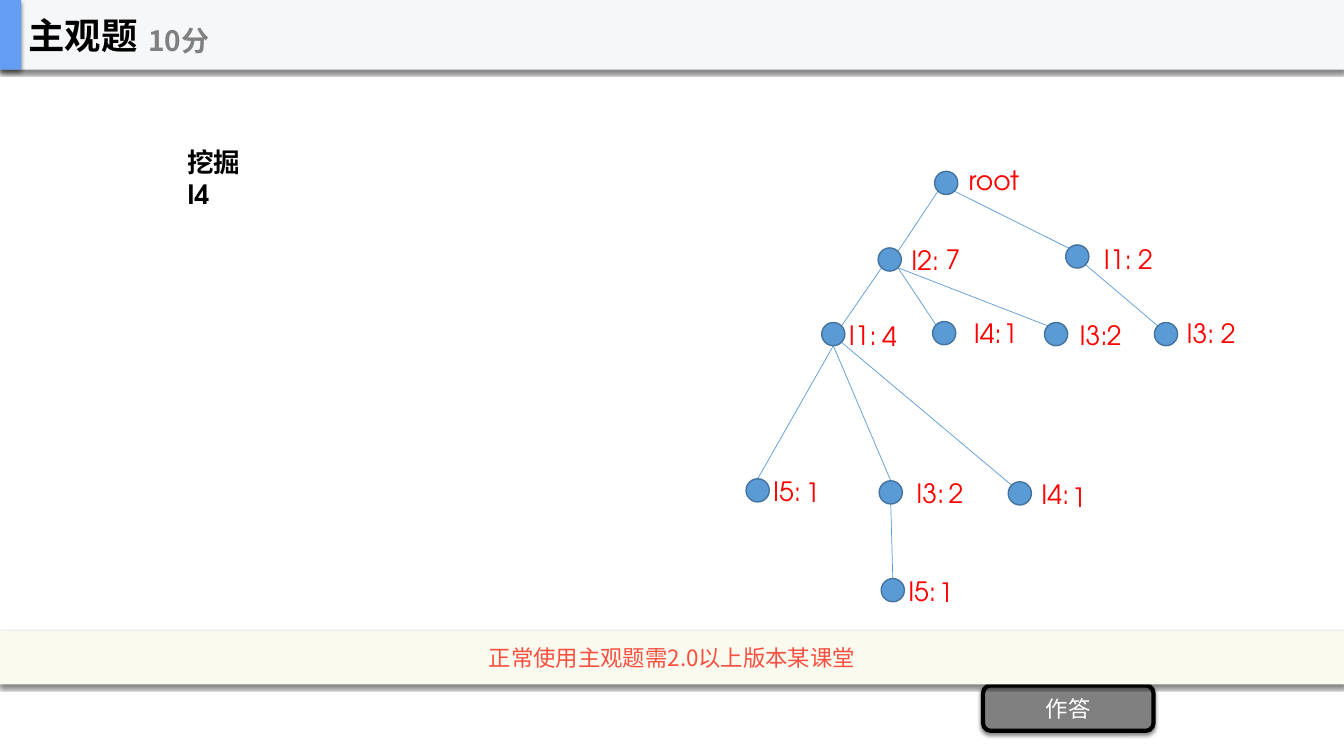
from dataclasses import dataclass
from enum import Enum

from lxml import etree
from pptx import Presentation, util as u
from pptx.dml.color import RGBColor
from pptx.enum import shapes, text
from pptx.oxml.ns import qn

CJK, LATIN = "Noto Sans CJK SC", "TeX Gyre Adventor"
LEFT, CENTER = text.PP_ALIGN.LEFT, text.PP_ALIGN.CENTER
TOP, MIDDLE = text.MSO_ANCHOR.TOP, text.MSO_ANCHOR.MIDDLE
DOT = 0.23
DIAGONAL = 0.71
LABEL_HEIGHT = 0.42


class Site(Enum):
    """Point on a node's rim, as a direction from its centre."""
    TOP = (0, -1)
    BOTTOM = (0, 1)
    TOP_LEFT = (-DIAGONAL, -DIAGONAL)
    TOP_RIGHT = (DIAGONAL, -DIAGONAL)
    BOTTOM_LEFT = (-DIAGONAL, DIAGONAL)
    BOTTOM_RIGHT = (DIAGONAL, DIAGONAL)


@dataclass(frozen=True)
class Label:
    content: str
    left: float
    top: float
    width: float = 0.49


@dataclass(frozen=True)
class Node:
    left: float
    top: float
    labels: tuple[Label, ...]

    def rim(self, site: Site) -> list:
        dx, dy = site.value
        radius = DOT / 2
        return [u.Inches(self.left + radius * (1 + dx)),
                u.Inches(self.top + radius * (1 + dy))]


@dataclass(frozen=True)
class Edge:
    parent: str
    child: str
    start: Site
    end: Site


def counted(item: str, left: float, top: float, count: str,
            count_left: float, count_top: float) -> tuple[Label, ...]:
    return Label(item, left, top), Label(count, count_left, count_top, 0.62)


NODES = {
    "root": Node(9.27, 1.7, (Label("root", 9.51, 1.58, 1.24),)),
    "2": Node(8.71, 2.46, counted("I2:", 8.94, 2.37, "7", 9.28, 2.36)),
    "1": Node(10.57, 2.43, counted("I1:", 10.85, 2.36, "2", 11.19, 2.36)),
    "2-1": Node(8.15, 3.2, counted("I1:", 8.32, 3.11, "4", 8.65, 3.12)),
    "2-4": Node(9.25, 3.19, counted("I4:", 9.56, 3.09, "1", 9.85, 3.09)),
    "2-3": Node(10.36, 3.2, counted("I3:", 10.61, 3.11, "2", 10.88, 3.11)),
    "1-3": Node(11.45, 3.2, counted("I3:", 11.67, 3.09, "2", 12.01, 3.09)),
    "2-1-5": Node(7.4, 4.75, counted("I5:", 7.57, 4.66, "1", 7.89, 4.67)),
    "2-1-3": Node(8.72, 4.77, counted("I3:", 8.99, 4.68, "2", 9.31, 4.68)),
    "2-1-4": Node(10, 4.78, counted("I4:", 10.23, 4.69, "1", 10.53, 4.72)),
    "2-1-3-5": Node(8.74, 5.74, counted("I5:", 8.91, 5.65, "1", 9.21, 5.66)),
}

EDGES = [
    Edge("root", "2", Site.BOTTOM_LEFT, Site.TOP_RIGHT),
    Edge("root", "1", Site.BOTTOM_RIGHT, Site.TOP_LEFT),
    Edge("2", "2-1", Site.BOTTOM_LEFT, Site.TOP_RIGHT),
    Edge("2", "2-4", Site.BOTTOM_RIGHT, Site.TOP_LEFT),
    Edge("2", "2-3", Site.BOTTOM_RIGHT, Site.TOP_LEFT),
    Edge("1", "1-3", Site.BOTTOM_RIGHT, Site.TOP_LEFT),
    Edge("2-1", "2-1-5", Site.BOTTOM, Site.TOP),
    Edge("2-1", "2-1-3", Site.BOTTOM, Site.TOP),
    Edge("2-1", "2-1-4", Site.BOTTOM_RIGHT, Site.TOP_LEFT),
    Edge("2-1-3", "2-1-3-5", Site.BOTTOM, Site.TOP),
]


def rgb(value: str) -> RGBColor:
    return RGBColor.from_string(value)


def inches(*lengths: float) -> list:
    return [u.Inches(length) for length in lengths]


def write(box, content: str, size: float, font: str, color: str,
          bold: bool = False, align=LEFT, anchor=TOP,
          insets: tuple = (0.1, 0.05, 0.1, 0.05)) -> None:
    frame = box.text_frame
    frame.text = content
    frame.word_wrap = True
    frame.auto_size = text.MSO_AUTO_SIZE.NONE
    frame.vertical_anchor = anchor
    (frame.margin_left, frame.margin_top,
     frame.margin_right, frame.margin_bottom) = inches(*insets)
    para = frame.paragraphs[0]
    para.alignment = align
    para.line_spacing = 1.0
    para.font.size = u.Pt(size)
    para.font.name = font
    para.font.bold = bold
    para.font.color.rgb = rgb(color)
    # East Asian characters need their own typeface entry
    defaults = para._p.pPr.find(qn("a:defRPr"))
    etree.SubElement(defaults, qn("a:ea"), typeface=font)


def add_block(owner, kind, at: tuple, fill: str, line: str = "",
              line_width: float = 1):
    block = owner.add_shape(kind, *inches(*at))
    block.shadow.inherit = False
    block.fill.solid()
    block.fill.fore_color.rgb = rgb(fill)
    if line:
        block.line.color.rgb = rgb(line)
        block.line.width = u.Pt(line_width)
    else:
        block.line.fill.background()
    return block


def drop_shadow(block) -> None:
    effects = block.element.spPr.find(qn("a:effectLst"))
    shadow = etree.SubElement(effects, qn("a:outerShdw"), blurRad=str(u.Pt(3)),
                              dist=str(u.Pt(2)), dir="5400000",
                              algn="t", rotWithShape="0")
    color = etree.SubElement(shadow, qn("a:srgbClr"), val="000000")
    etree.SubElement(color, qn("a:alpha"), val="50000")


def draw_edge(owner, edge: Edge) -> None:
    start = NODES[edge.parent].rim(edge.start)
    end = NODES[edge.child].rim(edge.end)
    line = owner.add_connector(shapes.MSO_CONNECTOR.STRAIGHT, *start, *end)
    line.line.color.rgb = rgb("5B9BD5")
    line.line.width = u.Pt(0.5)
    etree.SubElement(line.element.spPr, qn("a:effectLst"))


def draw_node(owner, node: Node) -> None:
    add_block(owner, shapes.MSO_SHAPE.OVAL, (node.left, node.top, DOT, DOT),
              "5B9BD5", "43739E")
    for label in node.labels:
        box = owner.add_textbox(*inches(label.left, label.top, label.width, LABEL_HEIGHT))
        write(box, label.content, 19, LATIN, "FF0000")


def main() -> None:
    deck = Presentation()
    deck.slide_width, deck.slide_height = inches(13.33, 7.5)
    page = deck.slides.add_slide(deck.slide_layouts[5])
    rectangle = shapes.MSO_SHAPE.RECTANGLE
    padding = (0.06,) * 4

    # Answer button and version notice
    button = add_block(page.shapes, shapes.MSO_SHAPE.ROUNDED_RECTANGLE,
                       (9.75, 6.8, 1.69, 0.45), "808080", "000000", 3)
    notice = add_block(page.shapes, rectangle, (0, 6.26, 13.33, 0.53), "FBFAEF")
    write(button, "作答", 16, CJK, "FFFFFF", align=CENTER, anchor=MIDDLE, insets=padding)
    write(notice, "正常使用主观题需2.0以上版本某课堂", 16, CJK, "F84F41",
          align=CENTER, anchor=MIDDLE, insets=padding)

    # Question
    question = page.shapes.add_textbox(*inches(1.76, 1.4, 0.96, 0.42))
    write(question, "挖掘I4", 19, LATIN, "000000", bold=True, insets=(0.1, 0.05, 0.2, 0.05))

    # Frequent-pattern tree
    tree = page.shapes.add_group_shape().shapes
    for edge in EDGES:
        draw_edge(tree, edge)
    for node in NODES.values():
        draw_node(tree, node)

    # Header with the title above its bars
    header = add_block(page.shapes, rectangle, (0, 0, 13.33, 0.69), "F6F7F8")
    accent = add_block(page.shapes, rectangle, (0, 0, 0.21, 0.69), "639EF4")
    for block in (button, notice, header, accent):
        drop_shadow(block)
    title = page.shapes.title
    title.left, title.top, title.width, title.height = inches(0.28, 0, 2.08, 0.69)
    write(title, "主观题", 26, CJK, "000000", bold=True, anchor=MIDDLE, insets=(0,) * 4)
    title.element.getparent().append(title.element)
    score = page.shapes.add_textbox(*inches(1.47, 0.12, 2.5, 0.56))
    write(score, "10分", 20, CJK, "808080", bold=True, anchor=MIDDLE, insets=(0,) * 4)

    deck.save("out.pptx")


if __name__ == "__main__":
    main()
